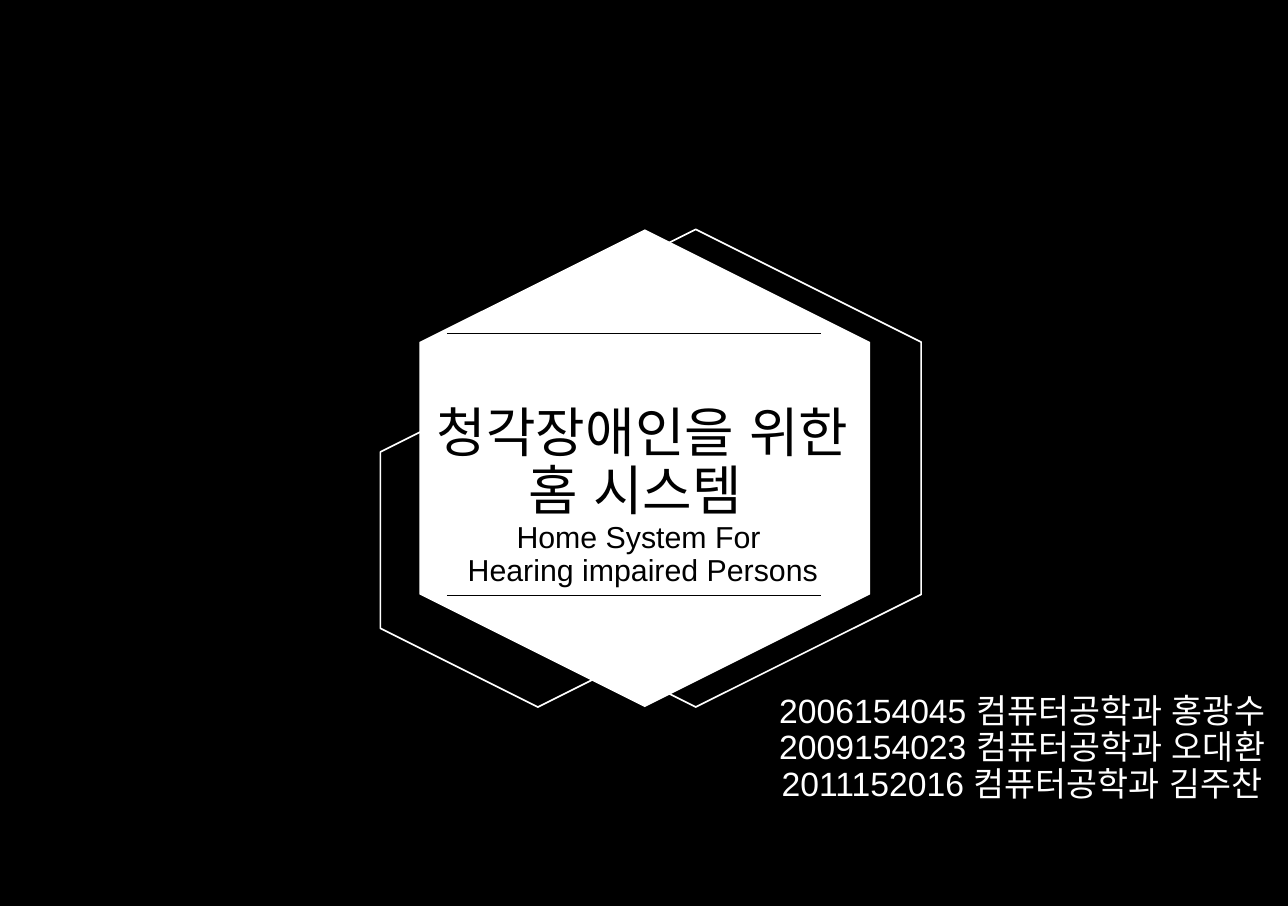
from lxml.etree import SubElement
from pptx import Presentation
from pptx.dml.color import RGBColor
from pptx.enum.shapes import MSO_CONNECTOR, MSO_SHAPE
from pptx.enum.text import MSO_ANCHOR, MSO_AUTO_SIZE, PP_ALIGN
from pptx.oxml.ns import qn
from pptx.util import Emu, Inches, Pt

BLACK = RGBColor(0, 0, 0)
WHITE = RGBColor(255, 255, 255)
FONT = "Arial"
EMU_PER_PX = 914400 / 121.2


def px(length):
    return Emu(round(length * EMU_PER_PX))


def add_hexagon(slide, left, top, width, height, filled=False):
    """Add a hexagon standing on its tip; the box is given before rotation."""
    hexagon = slide.shapes.add_shape(
        MSO_SHAPE.HEXAGON, px(left), px(top), px(width), px(height))
    hexagon.rotation = 270
    hexagon.shadow.inherit = False
    if filled:
        hexagon.fill.solid()
        hexagon.fill.fore_color.rgb = WHITE
        hexagon.line.fill.background()
    else:
        hexagon.fill.background()
        hexagon.line.color.rgb = WHITE
        hexagon.line.width = Pt(1)


def add_rule(slide, left, right, y):
    rule = slide.shapes.add_connector(
        MSO_CONNECTOR.STRAIGHT, px(left), px(y), px(right), px(y))
    rule.line.color.rgb = BLACK
    rule.line.width = Pt(0.5)
    SubElement(rule._element.spPr, qn("a:effectLst"))


def place(placeholder, left, top, width, height):
    """Move a placeholder and give it a bottom-anchored frame without insets."""
    placeholder.left, placeholder.top = px(left), px(top)
    placeholder.width, placeholder.height = px(width), px(height)
    frame = placeholder.text_frame
    frame.auto_size = MSO_AUTO_SIZE.NONE
    frame.word_wrap = True
    frame.vertical_anchor = MSO_ANCHOR.BOTTOM
    frame.margin_left = frame.margin_top = 0
    frame.margin_right = frame.margin_bottom = 0
    return frame


def write_line(frame, text, *, size, color):
    first = frame.paragraphs[0]
    paragraph = frame.add_paragraph() if first.runs else first
    paragraph.alignment = PP_ALIGN.CENTER
    paragraph.line_spacing = 0.9
    paragraph.space_before = paragraph.space_after = Pt(0)
    run = paragraph.add_run()
    run.text = text
    run.font.size = Pt(size)
    run.font.color.rgb = color
    run.font.name = FONT
    # Korean letters take their font from the East Asian setting.
    SubElement(run.font._element, qn("a:ea"), typeface=FONT)


def main():
    deck = Presentation()
    deck.slide_width, deck.slide_height = Inches(10.63), Inches(7.48)
    slide = deck.slides.add_slide(deck.slide_layouts[0])
    slide.background.fill.solid()
    slide.background.fill.fore_color.rgb = BLACK

    title, members = slide.placeholders
    add_hexagon(slide, 457, 243, 478, 451)
    add_hexagon(slide, 406, 243, 478, 451, filled=True)
    add_hexagon(slide, 371, 383, 334, 315)

    # The title lies on top of the hexagons.
    slide.shapes._spTree.append(title._element)
    heading = place(title, 316, 404, 654, 184)
    for text, size in (("청각장애인을 위한", 32),
                       ("홈 시스템 ", 32),
                       ("Home System For ", 18),
                       ("Hearing impaired Persons", 18)):
        write_line(heading, text, size=size, color=BLACK)

    for y in (334, 596):
        add_rule(slide, 447, 821, y)

    slide.shapes._spTree.append(members._element)
    team = place(members, 757, 693, 531, 111)
    for student in ("2006154045 컴퓨터공학과 홍광수",
                    "2009154023 컴퓨터공학과 오대환",
                    "2011152016 컴퓨터공학과 김주찬"):
        write_line(team, student, size=20, color=WHITE)

    deck.save("out.pptx")


if __name__ == "__main__":
    main()
